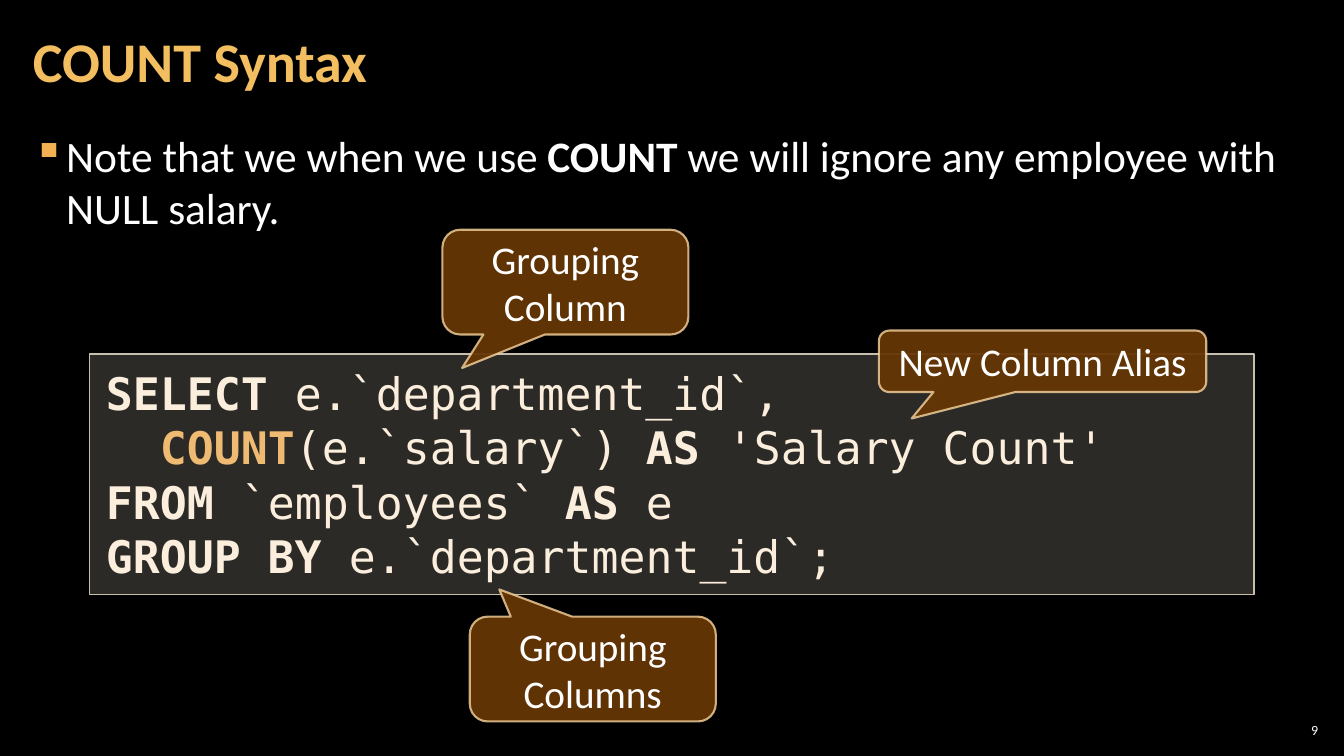
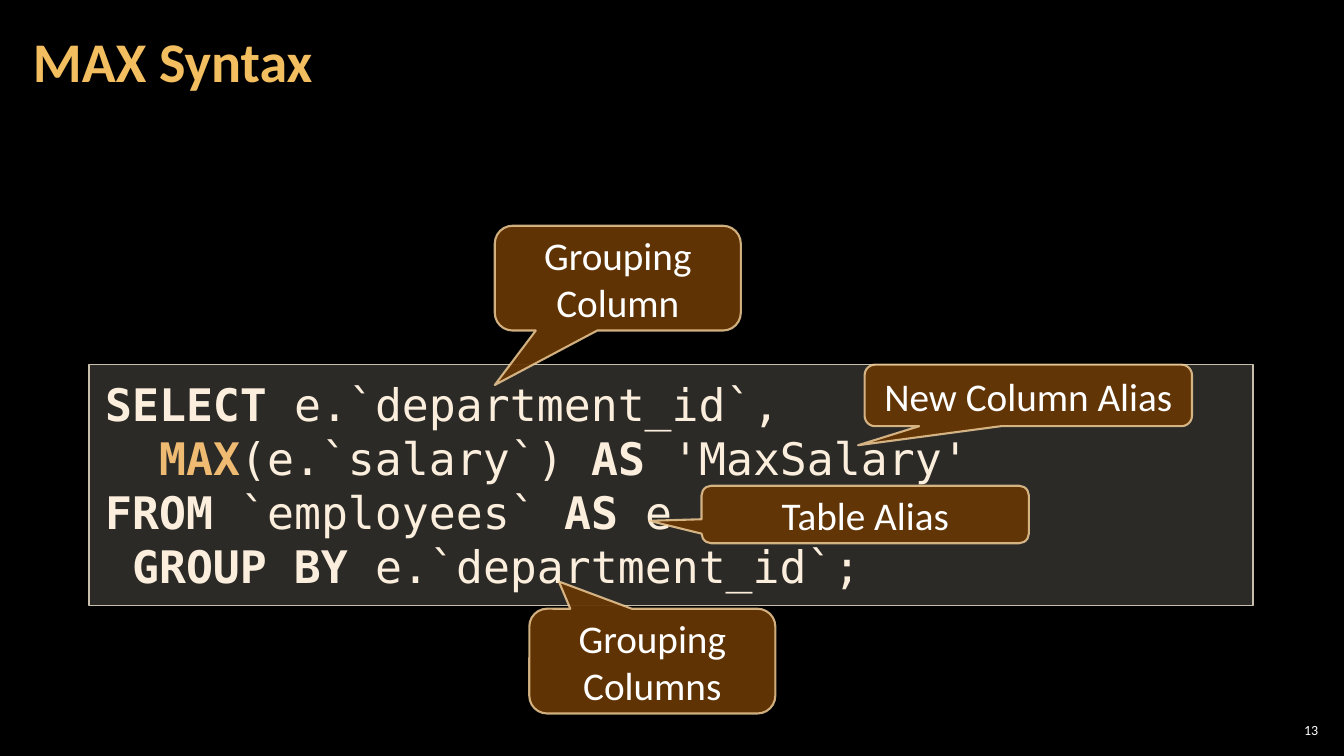
from dataclasses import dataclass
from typing import Any, Optional

import lxml.etree
import pptx
import pptx.dml.color
import pptx.enum.shapes
import pptx.enum.text
import pptx.oxml.ns
import pptx.util

Cm = pptx.util.Cm
Pt = pptx.util.Pt
ANCHOR = pptx.enum.text.MSO_ANCHOR
ALIGN = pptx.enum.text.PP_ALIGN
SHAPE = pptx.enum.shapes.MSO_SHAPE
qn = pptx.oxml.ns.qn

# Shared colours and fonts
BLACK, WHITE = "000000", "FFFFFF"
TITLE_GOLD, BULLET_GOLD = "F3BE60", "F2B254"
CODE_FILL, CODE_LINE = "D9D5C7", "C7BFAC"
CODE_TEXT, CODE_FUNCTION = "FBEEDC", "EFBB72"
CALLOUT_FILL, CALLOUT_LINE = "663606", "F8D49E"
SANS, MONO = "Calibri", "DejaVu Sans Mono"


@dataclass(frozen=True)
class Span:
    text: str
    bold: bool = False
    color: str = WHITE


@dataclass(frozen=True)
class Box:
    """Left, top, width and height in centimetres."""
    left: float
    top: float
    width: float
    height: float

    def lengths(self) -> tuple:
        return Cm(self.left), Cm(self.top), Cm(self.width), Cm(self.height)


@dataclass(frozen=True)
class Callout:
    text: str
    box: Box
    pointer: tuple[float, float]  # tip offset from the centre, in box sizes


@dataclass(frozen=True)
class SyntaxSlide:
    title: str
    number: int
    code_box: Box
    code: list[list[Span]]
    callouts: list[Callout]
    note: Optional[list[Span]] = None


# Shared places
TITLE_BOX = Box(0.53, 0.1, 26.59, 3.07)
NOTE_BOX = Box(0.53, 3.15, 32.79, 15.47)
NUMBER_BOX = Box(32.13, 18.14, 1.19, 0.53)


def keyword(text: str) -> Span:
    return Span(text, True, CODE_TEXT)


def plain(text: str) -> Span:
    return Span(text, False, CODE_TEXT)


def function(text: str) -> Span:
    return Span(text, True, CODE_FUNCTION)


def code_box(left: float, top: float) -> Box:
    return Box(left, top, 29.34, 6.07)


def grouping(text: str, left: float, top: float, pointer: tuple[float, float]) -> Callout:
    return Callout(text, Box(left, top, 6.2, 2.64), pointer)


def alias(text: str, left: float, top: float, pointer: tuple[float, float],
          height: float = 1.55) -> Callout:
    return Callout(text, Box(left, top, 8.25, height), pointer)


SLIDES = [
    SyntaxSlide(
        "COUNT Syntax", 9, code_box(2.26, 8.92),
        [
            [keyword("SELECT"), plain(" e.`department_id`,")],
            [plain("  "), function("COUNT"), plain("(e.`salary`) "),
             keyword("AS "), plain("'Salary Count'")],
            [keyword("FROM "), plain("`employees` "), keyword("AS"), plain(" e")],
            [keyword("GROUP BY "), plain("e.`department_id`;")],
        ],
        [
            grouping("Grouping Column", 11.15, 5.79, (-0.42, 0.82)),
            grouping("Grouping Columns", 11.84, 15.54, (-0.38, -0.76)),
            alias("New Column Alias", 22.15, 8.33, (-0.4, 0.93)),
        ],
        [Span("Note that we when we use "), Span("COUNT", True),
         Span(" we will ignore any employee with NULL salary.")],
    ),
    SyntaxSlide(
        "MAX Syntax", 13, code_box(2.24, 9.19),
        [
            [keyword("SELECT "), plain("e.`department_id`,")],
            [plain("  "), function("MAX"), plain("(e.`salary`) "),
             keyword("AS"), plain(" 'MaxSalary'")],
            [keyword("FROM "), plain("`employees` "), keyword("AS"), plain(" e")],
            [keyword(" GROUP BY "), plain("e.`department_id`;")],
        ],
        [
            grouping("Grouping Column", 12.47, 5.69, (-0.5, 1.02)),
            grouping("Grouping Columns", 13.34, 15.34, (-0.38, -0.76)),
            alias("Table Alias", 17.68, 12.24, (-0.66, 0.11), 1.45),
            alias("New Column Alias", 21.79, 9.19, (-0.52, 0.81)),
        ],
    ),
]


# Formatting helpers
def paint(fill: Any, color: str, opacity: int = 100) -> None:
    """Make a fill solid, with opacity in percent."""
    fill.solid()
    fill.fore_color.rgb = pptx.dml.color.RGBColor.from_string(color)
    if opacity < 100:
        for srgb in fill._xPr.iter(qn("a:srgbClr")):
            if srgb.getparent().getparent() is fill._xPr:
                lxml.etree.SubElement(srgb, qn("a:alpha"), val=str(opacity * 1000))


def set_frame(frame: Any, inset_x: float, inset_y: float, anchor: Any) -> None:
    frame.word_wrap = True
    frame.margin_left = frame.margin_right = Cm(inset_x)
    frame.margin_top = frame.margin_bottom = Cm(inset_y)
    frame.vertical_anchor = anchor


def add_spans(paragraph: Any, spans: list[Span], size: float, font: str = SANS) -> None:
    for span in spans:
        run = paragraph.add_run()
        run.text = span.text
        run.font.name = font
        run.font.size = Pt(size)
        run.font.bold = span.bold
        paint(run.font.fill, span.color)


def add_text(slide: Any, box: Box, spans: list[Span], size: float,
             inset_x: float, anchor: Any) -> Any:
    frame = slide.shapes.add_textbox(*box.lengths()).text_frame
    set_frame(frame, inset_x, 0.1, anchor)
    paragraph = frame.paragraphs[0]
    add_spans(paragraph, spans, size)
    return paragraph


def add_panel(slide: Any, kind: Any, box: Box, fill: tuple[str, int],
              line: tuple[str, int], width: float) -> Any:
    panel = slide.shapes.add_shape(kind, *box.lengths())
    panel.shadow.inherit = False
    paint(panel.fill, *fill)
    panel.line.width = Pt(width)
    paint(panel.line.fill, *line)
    return panel


# Slide parts
def add_title(slide: Any, title: str) -> None:
    heading = add_text(slide, TITLE_BOX, [Span(title, True, TITLE_GOLD)], 40, 0.3, ANCHOR.MIDDLE)
    heading.line_spacing = 0.9


def add_number(slide: Any, number: int) -> None:
    page = add_text(slide, NUMBER_BOX, [Span(str(number))], 10, 0.1, ANCHOR.MIDDLE)
    page.alignment = ALIGN.RIGHT


def add_note(slide: Any, spans: list[Span]) -> None:
    note = add_text(slide, NOTE_BOX, spans, 31, 0.3, ANCHOR.TOP)
    note.space_after = Pt(6)
    properties = note._p.get_or_add_pPr()
    properties.set("marL", str(Cm(0.84)))
    properties.set("indent", str(-Cm(0.84)))
    color = lxml.etree.SubElement(properties, qn("a:buClr"))
    lxml.etree.SubElement(color, qn("a:srgbClr"), val=BULLET_GOLD)
    lxml.etree.SubElement(properties, qn("a:buChar"), char="▪")


def add_code(slide: Any, box: Box, lines: list[list[Span]]) -> None:
    panel = add_panel(slide, SHAPE.RECTANGLE, box, (CODE_FILL, 20), (CODE_LINE, 100), 1)
    frame = panel.text_frame
    set_frame(frame, 0.41, 0.3, ANCHOR.TOP)
    for index, spans in enumerate(lines):
        paragraph = frame.add_paragraph() if index else frame.paragraphs[0]
        paragraph.alignment = ALIGN.LEFT
        paragraph.line_spacing = Pt(38.6)
        add_spans(paragraph, spans, 32, MONO)


def add_callout(slide: Any, callout: Callout) -> None:
    bubble = add_panel(slide, SHAPE.ROUNDED_RECTANGULAR_CALLOUT, callout.box,
                       (CALLOUT_FILL, 95), (CALLOUT_LINE, 80), 1.5)
    for index, value in enumerate((*callout.pointer, 0.17)):
        bubble.adjustments[index] = value
    set_frame(bubble.text_frame, 0.25, 0.13, ANCHOR.MIDDLE)
    label = bubble.text_frame.paragraphs[0]
    label.alignment = ALIGN.CENTER
    add_spans(label, [Span(callout.text)], 28)


def build_slide(deck: Any, content: SyntaxSlide) -> None:
    slide = deck.slides.add_slide(deck.slide_layouts[6])
    if content.note:
        add_note(slide, content.note)
    add_code(slide, content.code_box, content.code)
    add_number(slide, content.number)
    add_title(slide, content.title)
    for callout in content.callouts:
        add_callout(slide, callout)


def main() -> None:
    deck = pptx.Presentation()
    deck.slide_width, deck.slide_height = Cm(33.87), Cm(19.05)
    paint(deck.slide_master.background.fill, BLACK)
    for content in SLIDES:
        build_slide(deck, content)
    deck.save("out.pptx")


if __name__ == "__main__":
    main()
